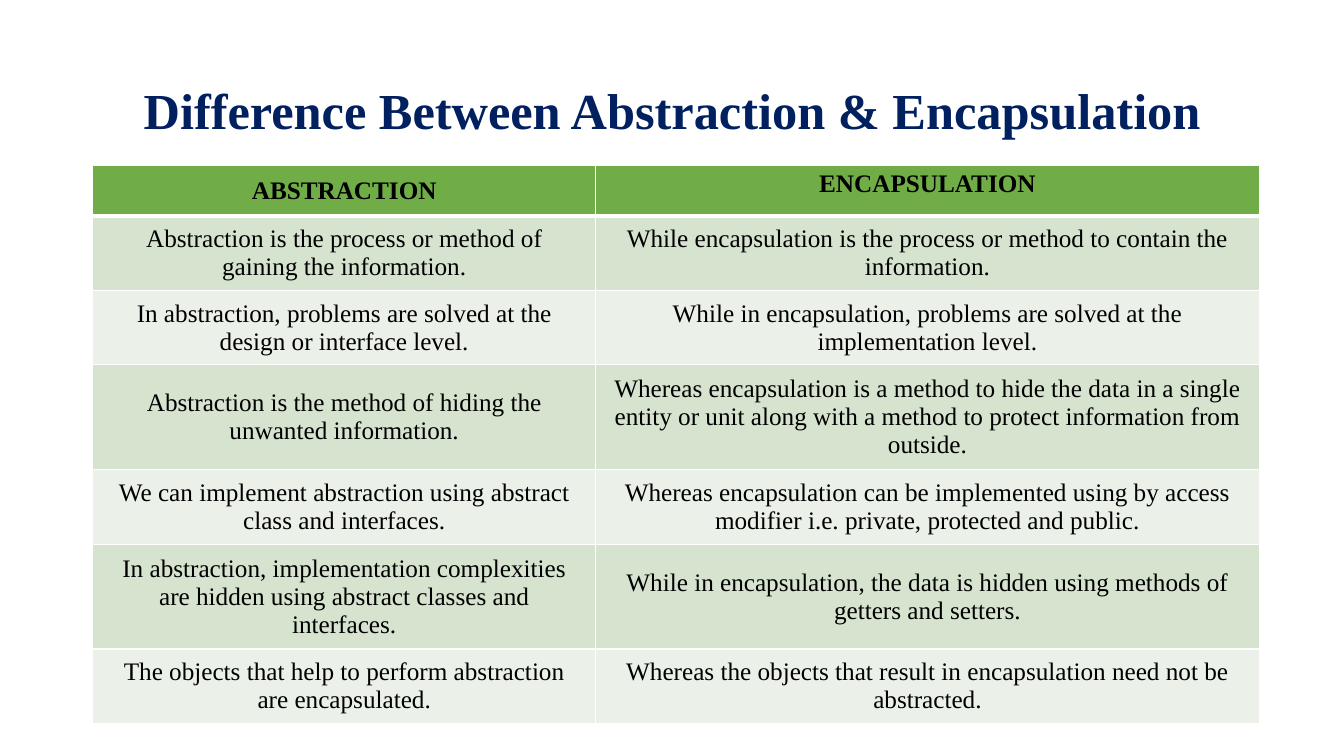
import pptx
import pptx.dml.color
import pptx.enum.text
import pptx.oxml
import pptx.oxml.ns
import pptx.util

RGBColor = pptx.dml.color.RGBColor
NAVY = RGBColor(0x00, 0x20, 0x60)
BLACK = RGBColor(0x00, 0x00, 0x00)
WHITE = RGBColor(0xFF, 0xFF, 0xFF)
GREEN = RGBColor(0x70, 0xAD, 0x47)
BANDS = (RGBColor(0xEB, 0xF1, 0xE9), RGBColor(0xD5, 0xE3, 0xCF))

MIDDLE = pptx.enum.text.MSO_ANCHOR.MIDDLE
TOP = pptx.enum.text.MSO_ANCHOR.TOP

HEADINGS = ("ABSTRACTION", "ENCAPSULATION")
COMPARISON = (
    ("Abstraction is the process or method of gaining the information.",
     "While encapsulation is the process or method to contain the information."),
    ("In abstraction, problems are solved at the design or interface level.",
     "While in encapsulation, problems are solved at the implementation level."),
    ("Abstraction is the method of hiding the unwanted information.",
     "Whereas encapsulation is a method to hide the data in a single entity or unit "
     "along with a method to protect information from outside."),
    ("We can implement abstraction using abstract class and interfaces.",
     "Whereas encapsulation can be implemented using by access modifier i.e. private, "
     "protected and public."),
    ("In abstraction, implementation complexities are hidden using abstract classes "
     "and interfaces.",
     "While in encapsulation, the data is hidden using methods of getters and setters."),
    ("The objects that help to perform abstraction are encapsulated.",
     "Whereas the objects that result in encapsulation need not be abstracted."),
)


class SlideBuilder:
    """Places elements by percent of the slide's width and height."""

    font_name = "Times New Roman"

    def __init__(self, deck):
        self.deck = deck
        self.page = deck.slides.add_slide(deck.slide_layouts[6])

    def across(self, percent):
        return round(self.deck.slide_width * percent / 100)

    def down(self, percent):
        return round(self.deck.slide_height * percent / 100)

    def frame(self, left, top, width, height):
        return self.across(left), self.down(top), self.across(width), self.down(height)

    def style_text(self, text_frame, size, color, bold):
        text_frame.word_wrap = True
        for para in text_frame.paragraphs:
            para.alignment = pptx.enum.text.PP_ALIGN.CENTER
            for span in para.runs:
                span.font.name = self.font_name
                span.font.size = pptx.util.Pt(size)
                span.font.bold = bold
                span.font.color.rgb = color

    def title(self, text, place):
        box = self.page.shapes.add_textbox(*self.frame(*place))
        box.text_frame.text = text
        box.text_frame.vertical_anchor = MIDDLE
        box.text_frame.paragraphs[0].line_spacing = 0.9
        self.style_text(box.text_frame, 36, NAVY, True)

    def border(self, cell, side, points):
        line = pptx.oxml.parse_xml(
            f'<a:{side} {pptx.oxml.ns.nsdecls("a")} w="{pptx.util.Pt(points)}">'
            f'<a:solidFill><a:srgbClr val="{WHITE}"/></a:solidFill></a:{side}>')
        cell._tc.get_or_add_tcPr().append(line)

    def cell(self, cell, text, fill, bold, anchor, insets, edges):
        cell.text = text
        self.style_text(cell.text_frame, 18, BLACK, bold)
        cell.vertical_anchor = anchor
        side_inset, end_inset = map(pptx.util.Inches, insets)
        cell.margin_left = cell.margin_right = side_inset
        cell.margin_top = cell.margin_bottom = end_inset
        for side, points in zip(("lnL", "lnR", "lnT", "lnB"), (1, 1) + edges):
            self.border(cell, side, points)
        cell.fill.solid()
        cell.fill.fore_color.rgb = fill

    def table(self, left, top, widths, heights):
        place = self.frame(left, top, sum(widths), sum(heights))
        table = self.page.shapes.add_table(len(heights), len(widths), *place).table
        table.horz_banding = False
        for column, width in zip(table.columns, widths):
            column.width = self.across(width)
        for row, height in zip(table.rows, heights):
            row.height = self.down(height)
        return table


def main():
    deck = pptx.Presentation()
    deck.slide_width = pptx.util.Inches(13.33)
    deck.slide_height = pptx.util.Inches(7.5)
    builder = SlideBuilder(deck)

    # Title
    builder.title("Difference Between Abstraction & Encapsulation", (6.9, 5.33, 86.27, 19.33))

    # Table grid: rows are two or three lines tall
    two_lines, three_lines = 9.28, 13
    heights = (6.67, two_lines, two_lines, three_lines, two_lines, three_lines, two_lines)
    table = builder.table(6.9, 21.87, (37.43, 49.36), heights)

    # Heading row
    heading_styles = ((MIDDLE, (0.08, 0.08)), (TOP, (0.1, 0.05)))
    for column, (text, (anchor, insets)) in enumerate(zip(HEADINGS, heading_styles)):
        builder.cell(table.cell(0, column), text, GREEN, True, anchor, insets, (1, 3))

    # Comparison rows in alternating bands
    for row, texts in enumerate(COMPARISON, start=1):
        edges = (3 if row == 1 else 1, 1)
        for column, text in enumerate(texts):
            builder.cell(table.cell(row, column), text, BANDS[row % 2], False,
                         MIDDLE, (0.15, 0.07), edges)

    deck.save("out.pptx")


if __name__ == "__main__":
    main()
